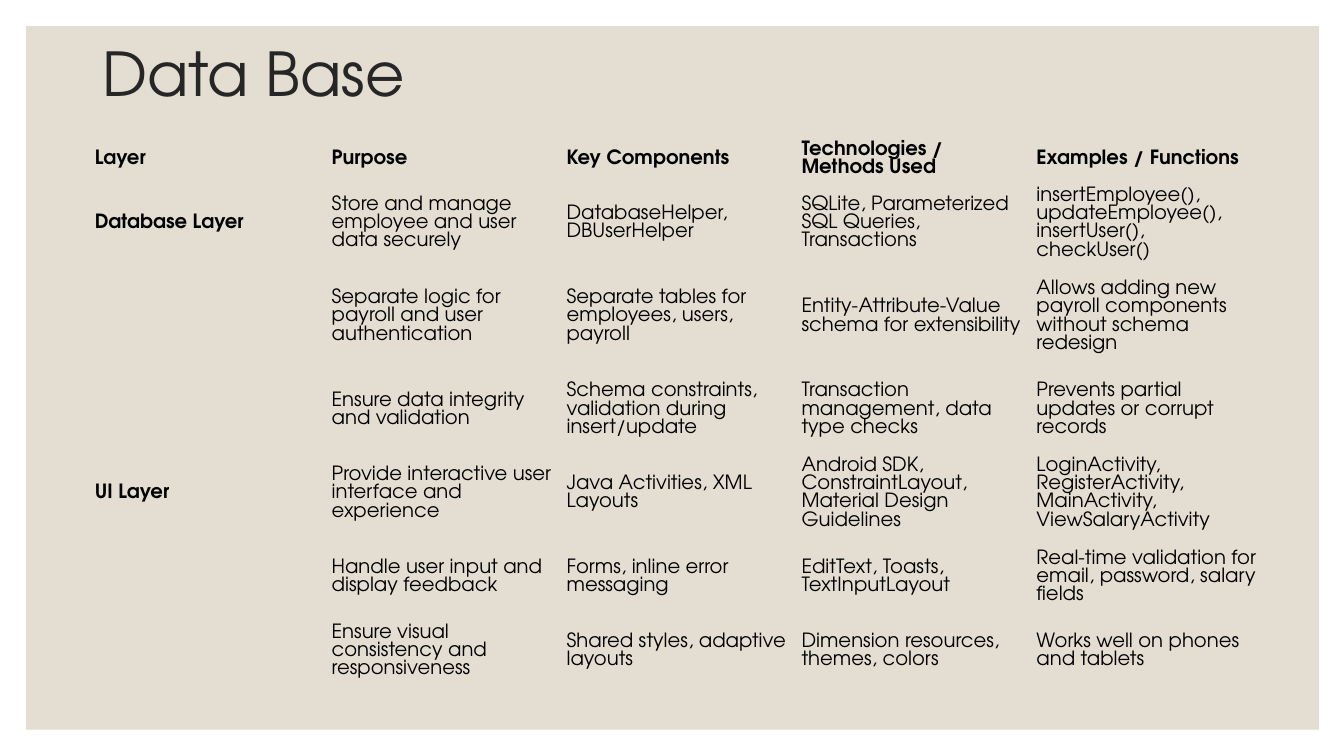
from dataclasses import dataclass
from typing import NamedTuple

from pptx import Presentation
from pptx import util as u
from pptx.dml.color import RGBColor
from pptx.enum import shapes, text

PX = 9144  # 100 px to the inch


@dataclass(frozen=True)
class Theme:
    font: str = "TeX Gyre Adventor"
    panel: str = "E3DED1"
    title: str = "262626"
    body: str = "000000"
    big: float = 43.2
    small: float = 14
    pitch: float = 13
    plain: str = "{2D5ABB26-0587-4C30-8999-92F81FD0307C}"  # no style, no grid


class Box(NamedTuple):
    left: int
    top: int
    width: int
    height: int


class Row(NamedTuple):
    height: int
    cells: tuple[str, ...]


THEME = Theme()
PANEL = Box(26, 26, 1282, 698)
TITLE = Box(92, 40, 1150, 72)
GRID = Box(90, 135, 1167, 543)
COLS = (235, 233, 233, 233, 233)
ROWS = (
    Row(45, ("Layer", "Purpose", "Key Components",
             "Technologies / Methods Used", "Examples / Functions")),
    Row(83, ("Database Layer", "Store and manage employee and user data securely",
             "DatabaseHelper, DBUserHelper",
             "SQLite, Parameterized SQL Queries, Transactions",
             "insertEmployee(), updateEmployee(), insertUser(), checkUser()")),
    Row(102, ("", "Separate logic for payroll and user authentication",
              "Separate tables for employees, users, payroll",
              "Entity-Attribute-Value schema for extensibility",
              "Allows adding new payroll components without schema redesign")),
    Row(83, ("", "Ensure data integrity and validation",
             "Schema constraints, validation during insert/update",
             "Transaction management, data type checks",
             "Prevents partial updates or corrupt records")),
    Row(83, ("UI Layer", "Provide interactive user interface and experience",
             "Java Activities, XML Layouts",
             "Android SDK, ConstraintLayout, Material Design Guidelines",
             "LoginActivity, RegisterActivity, MainActivity, ViewSalaryActivity")),
    Row(83, ("", "Handle user input and display feedback",
             "Forms, inline error messaging",
             "EditText, Toasts, TextInputLayout",
             "Real-time validation for email, password, salary fields")),
    Row(64, ("", "Ensure visual consistency and responsiveness",
             "Shared styles, adaptive layouts",
             "Dimension resources, themes, colors",
             "Works well on phones and tablets")),
)


def emu(box: Box) -> list[int]:
    return [side * PX for side in box]


def add_run(para, words: str, size: float, color: str, bold: bool = False) -> None:
    run = para.add_run()
    run.text = words
    run.font.name = THEME.font
    run.font.size = u.Pt(size)
    run.font.bold = bold
    run.font.color.rgb = RGBColor.from_string(color)


def add_panel(slide, box: Box) -> None:
    panel = slide.shapes.add_shape(shapes.MSO_SHAPE.RECTANGLE, *emu(box))
    panel.shadow.inherit = False
    panel.fill.solid()
    panel.fill.fore_color.rgb = RGBColor.from_string(THEME.panel)
    panel.line.fill.background()


def add_title(slide, box: Box, words: str) -> None:
    frame = slide.shapes.add_textbox(*emu(box)).text_frame
    frame.word_wrap = True
    frame.vertical_anchor = text.MSO_ANCHOR.MIDDLE
    para = frame.paragraphs[0]
    para.line_spacing = 0.9
    add_run(para, words, THEME.big, THEME.title)


def fill_cell(cell, words: str, bold: bool) -> None:
    cell.fill.background()
    cell.vertical_anchor = text.MSO_ANCHOR.MIDDLE
    cell.margin_left = cell.margin_right = 4 * PX
    cell.margin_top = cell.margin_bottom = 2 * PX
    if words:
        para = cell.text_frame.paragraphs[0]
        para.line_spacing = u.Pt(THEME.pitch)
        add_run(para, words, THEME.small, THEME.body, bold)


def add_grid(slide, box: Box, cols: tuple[int, ...], rows: tuple[Row, ...]) -> None:
    frame = slide.shapes.add_table(len(rows), len(cols), *emu(box))
    table = frame.table
    table.first_row = table.horz_banding = False
    frame.element.find(".//{*}tableStyleId").text = THEME.plain
    for col, width in zip(table.columns, cols):
        col.width = width * PX
    for r, row in enumerate(rows):
        table.rows[r].height = row.height * PX
        for c, words in enumerate(row.cells):
            fill_cell(table.cell(r, c), words, bold=r == 0 or c == 0)


def main() -> None:
    deck = Presentation()
    deck.slide_width, deck.slide_height = 1333 * PX, 750 * PX
    slide = deck.slides.add_slide(deck.slide_layouts[6])
    # Backdrop and heading
    add_panel(slide, PANEL)
    add_title(slide, TITLE, "Data Base")
    # Layers table
    add_grid(slide, GRID, COLS, ROWS)
    deck.save("out.pptx")


if __name__ == "__main__":
    main()
